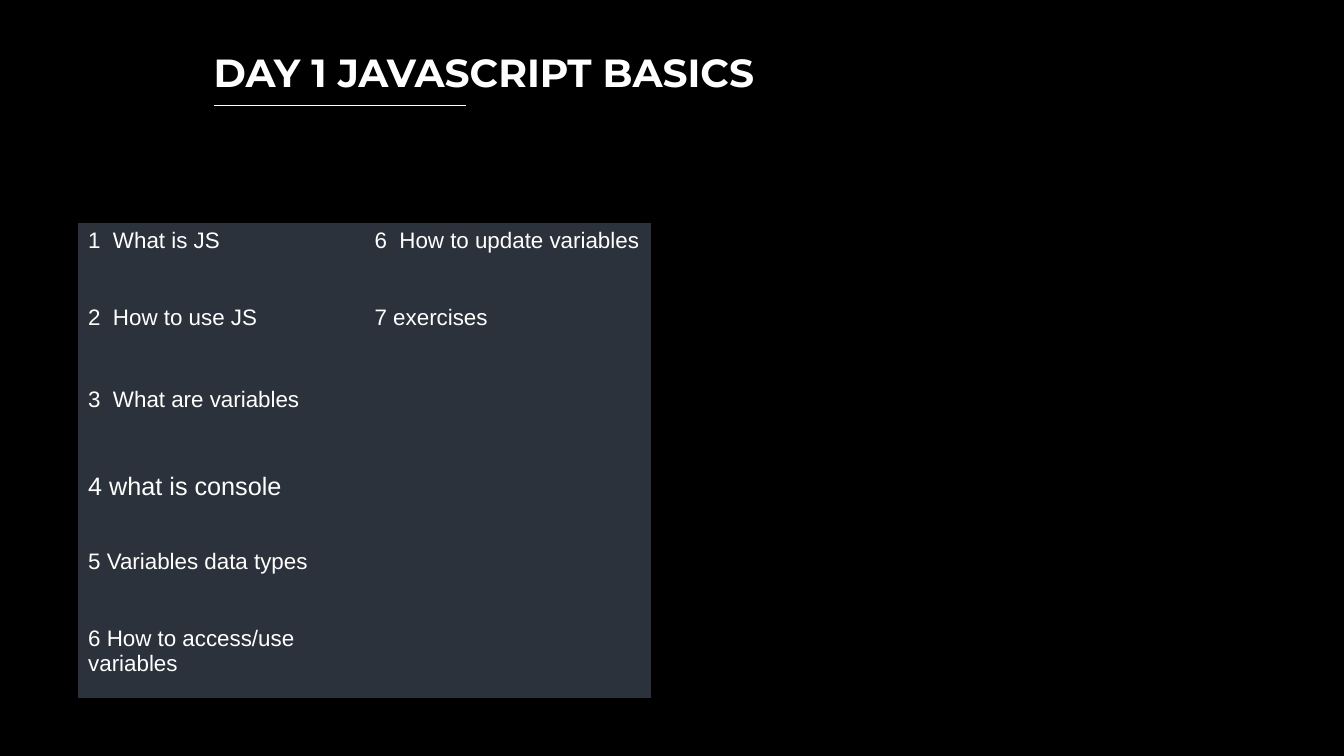
from lxml import etree
from pptx import Presentation
from pptx.dml.color import RGBColor
from pptx.enum.shapes import MSO_CONNECTOR
from pptx.enum.text import MSO_ANCHOR, MSO_AUTO_SIZE, PP_ALIGN
from pptx.oxml.ns import qn
from pptx.util import Pt

LEFT, TOP = PP_ALIGN.LEFT, MSO_ANCHOR.TOP
STRAIGHT = MSO_CONNECTOR.STRAIGHT
FIT_SHAPE = MSO_AUTO_SIZE.SHAPE_TO_FIT_TEXT

# Content
HEADING = "DAY 1 JAVASCRIPT BASICS"
AGENDA = [
    ("1  What is JS", "6  How to update variables"),
    ("2  How to use JS", "7 exercises"),
    ("3  What are variables", ""),
    ("4 what is console", ""),
    ("5 Variables data types", ""),
    ("6 How to access/use variables", ""),
]
LARGER_TOPICS = {"4 what is console": 18}

# Look and layout, in points
COLORS = {"background": "000000", "panel": "2B323C", "text": "FFFFFF"}
NO_GRID_STYLE = "{2D5ABB26-0587-4C30-8999-92F81FD0307C}"
HEADING_BOX = (145.4, 31, 438.5, 41)
UNDERLINE = (152.6, 75.6, 332.6, 75.6)
AGENDA_LEFT, AGENDA_TOP, COLUMN_WIDTH = 55.8, 159.4, 204.6
ROW_HEIGHTS = [55, 59, 60.5, 55, 55, 55]


def color(name):
    return RGBColor.from_string(COLORS[name])


def write(frame, text, size=16, font="Arial", bold=False):
    paragraph = frame.paragraphs[0]
    paragraph.alignment = LEFT
    run = paragraph.add_run()
    run.text = text
    run.font.size = Pt(size)
    run.font.name = font
    run.font.bold = bold
    run.font.color.rgb = color("text")


def points(values):
    return [Pt(value) for value in values]


# Slide
prs = Presentation()
prs.slide_width, prs.slide_height = Pt(960), Pt(540)
slide = prs.slides.add_slide(prs.slide_layouts[5])
slide.background.fill.solid()
slide.background.fill.fore_color.rgb = color("background")

# Heading
heading = slide.shapes.title
heading.left, heading.top, heading.width, heading.height = points(HEADING_BOX)
heading.text_frame.word_wrap = False
heading.text_frame.auto_size = FIT_SHAPE
heading.text_frame.vertical_anchor = TOP
write(heading.text_frame, HEADING, size=28, font="Montserrat", bold=True)

# Agenda table
agenda = slide.shapes.add_table(
    len(AGENDA), 2, *points((AGENDA_LEFT, AGENDA_TOP, 2 * COLUMN_WIDTH, sum(ROW_HEIGHTS)))
).table
agenda.first_row = agenda.horz_banding = False
agenda._tbl.tblPr.find(qn("a:tableStyleId")).text = NO_GRID_STYLE
for column in agenda.columns:
    column.width = Pt(COLUMN_WIDTH)
for row, height, topics in zip(agenda.rows, ROW_HEIGHTS, AGENDA):
    row.height = Pt(height)
    for cell, topic in zip(row.cells, topics):
        cell.fill.solid()
        cell.fill.fore_color.rgb = color("panel")
        if topic:
            write(cell.text_frame, topic, size=LARGER_TOPICS.get(topic, 16))

# Heading underline
underline = slide.shapes.add_connector(STRAIGHT, *points(UNDERLINE))
underline.line.color.rgb = color("text")
underline.line.width = Pt(0.75)
etree.SubElement(underline._element.spPr, qn("a:effectLst"))

prs.save("out.pptx")
